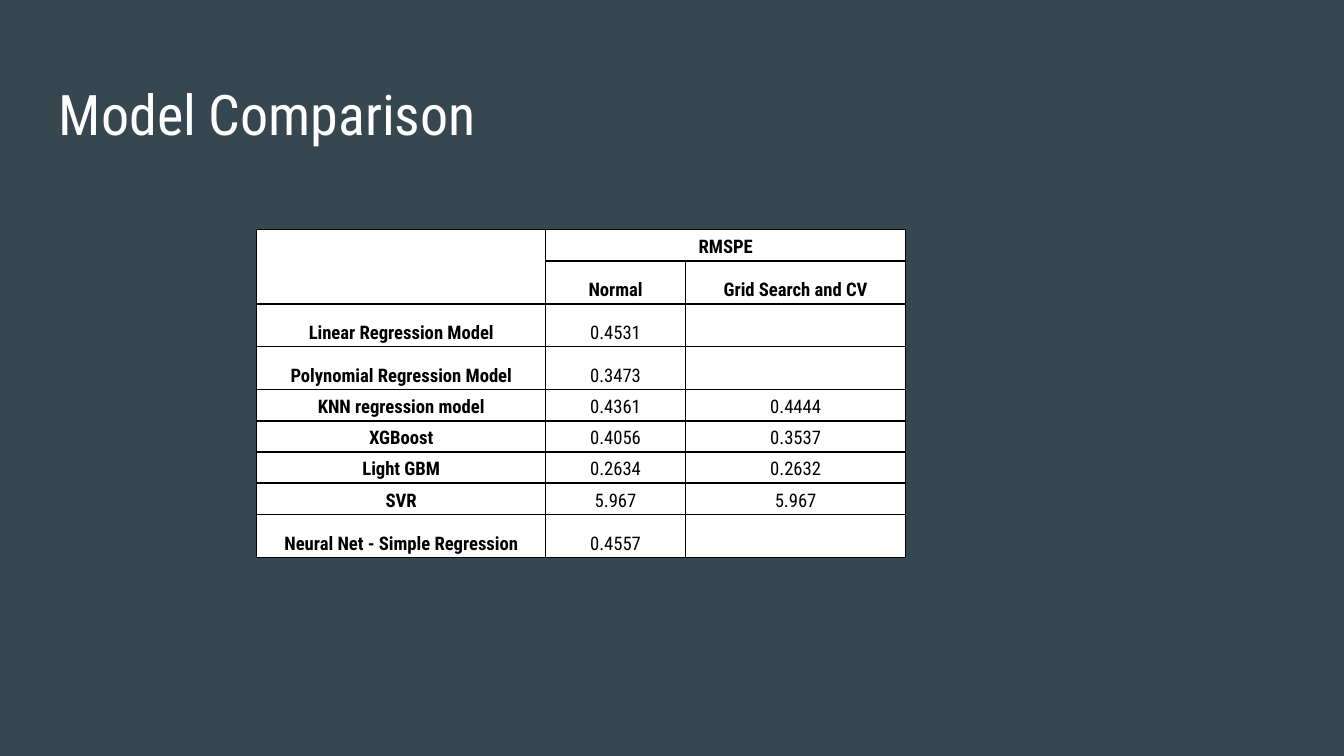
import pptx
import pptx.dml.color
import pptx.enum.text
import pptx.oxml
import pptx.oxml.ns
import pptx.util

Inches = pptx.util.Inches
Pt = pptx.util.Pt
ALIGN = pptx.enum.text.PP_ALIGN
ANCHOR = pptx.enum.text.MSO_ANCHOR

FONT = "Roboto Condensed"
SHORT, TALL = 0.22, 0.32  # short rows grow to fit their text
COL_WIDTHS = [2.15, 1.04, 1.64]
# Each row: height, then label, normal and tuned score
ROWS = [
    (SHORT, "", "RMSPE", ""),
    (TALL, "", "Normal", "Grid Search and CV"),
    (TALL, "Linear Regression Model", "0.4531", ""),
    (TALL, "Polynomial Regression Model", "0.3473", ""),
    (SHORT, "KNN regression model", "0.4361", "0.4444"),
    (SHORT, "XGBoost", "0.4056", "0.3537"),
    (SHORT, "Light GBM", "0.2634", "0.2632"),
    (SHORT, "SVR", "5.967", "5.967"),
    (TALL, "Neural Net - Simple Regression", "0.4557", ""),
]


def color(value):
    return pptx.dml.color.RGBColor.from_string(value)


def write(tf, text, size=10, fill="000000", bold=False, align=ALIGN.LEFT, spacing=1.0):
    p = tf.paragraphs[0]
    p.alignment = align
    p.line_spacing = spacing
    if not text:
        # Keeps an empty cell from growing to the default text size
        p._p.get_or_add_endParaRPr().set("sz", str(size * 100))
        return
    r = p.add_run()
    r.text = text
    r.font.name = FONT
    r.font.size = Pt(size)
    r.font.bold = bold
    r.font.color.rgb = color(fill)


def set_borders(cell, line="000000", width=0.8):
    tc_pr = cell._tc.get_or_add_tcPr()
    for i, side in enumerate(("lnL", "lnR", "lnT", "lnB")):
        tc_pr.insert(i, pptx.oxml.parse_xml(
            f'<a:{side} {pptx.oxml.ns.nsdecls("a")} w="{Pt(width)}">'
            f'<a:solidFill><a:srgbClr val="{line}"/></a:solidFill></a:{side}>'))


def add_title(s, left, top, width, height):
    sp = s.shapes.add_textbox(Inches(left), Inches(top), Inches(width), Inches(height))
    tf = sp.text_frame
    tf.word_wrap = True
    tf.vertical_anchor = ANCHOR.TOP
    tf.margin_left = tf.margin_right = tf.margin_top = tf.margin_bottom = Inches(0.1)
    write(tf, "Model Comparison", size=30, fill="FFFFFF")


def add_scores(s, left, top):
    height = sum(row[0] for row in ROWS)
    frame = s.shapes.add_table(len(ROWS), len(COL_WIDTHS), Inches(left), Inches(top),
                               Inches(sum(COL_WIDTHS)), Inches(height))
    table = frame.table
    for column, width in zip(table.columns, COL_WIDTHS):
        column.width = Inches(width)
    for i, (row_height, *texts) in enumerate(ROWS):
        table.rows[i].height = Inches(row_height)
        for j, text in enumerate(texts):
            cell = table.cell(i, j)
            cell.fill.solid()
            cell.fill.fore_color.rgb = color("FFFFFF")
            cell.vertical_anchor = ANCHOR.BOTTOM
            cell.margin_left = cell.margin_right = Inches(0.03)
            cell.margin_top = cell.margin_bottom = Inches(0.02)
            set_borders(cell)
            write(cell.text_frame, text, bold=i < 2 or j == 0,
                  align=ALIGN.CENTER, spacing=1.15)
    # Header spans
    table.cell(0, 0).merge(table.cell(1, 0))
    table.cell(0, 1).merge(table.cell(0, 2))


def main():
    prs = pptx.Presentation()
    prs.slide_width, prs.slide_height = Inches(10), Inches(10 * 9 / 16)
    s = prs.slides.add_slide(prs.slide_layouts[6])
    s.background.fill.solid()
    s.background.fill.fore_color.rgb = color("37474F")
    add_title(s, 0.34, 0.49, 9.32, 0.63)
    add_scores(s, 1.91, 1.71)
    prs.save("out.pptx")


if __name__ == "__main__":
    main()
